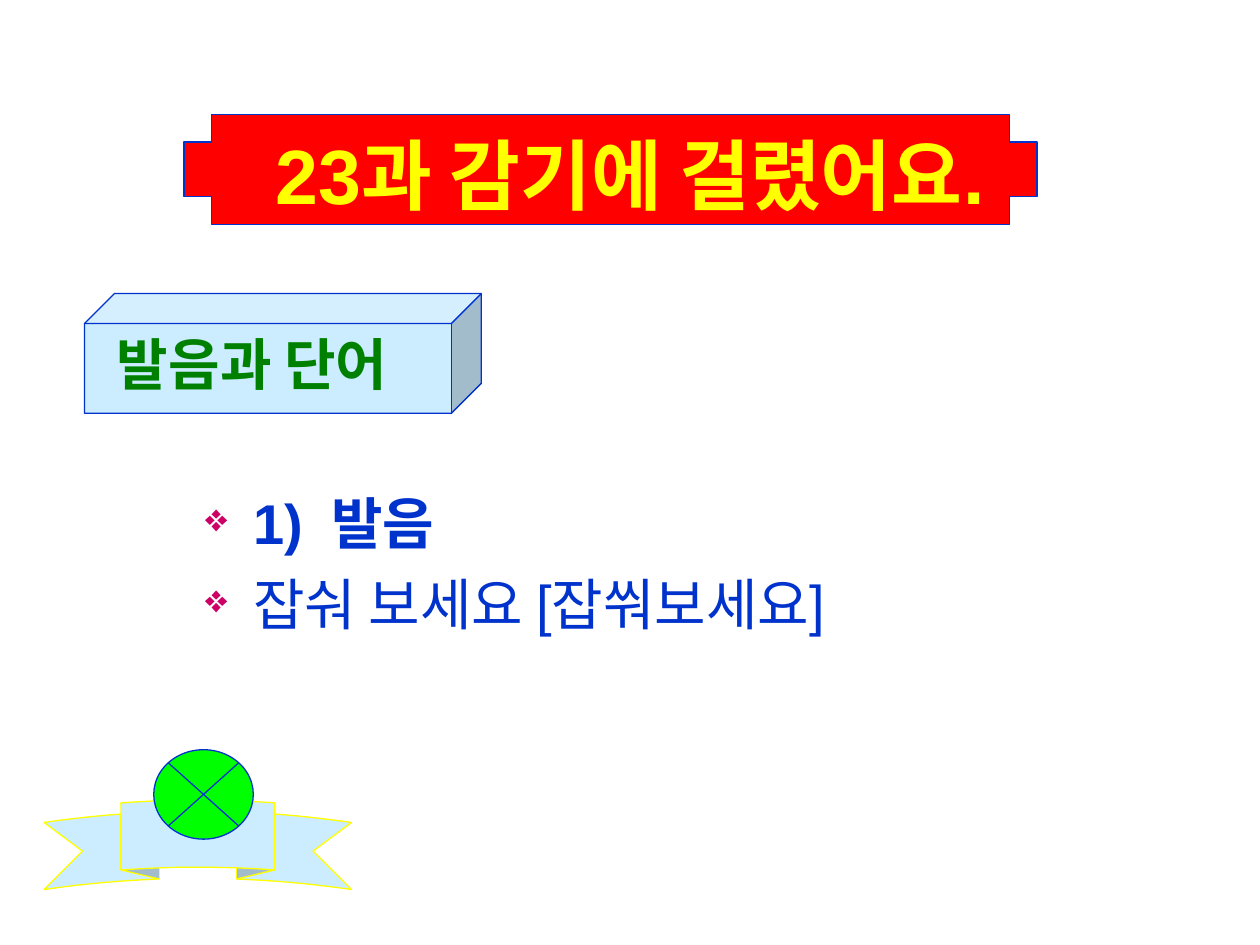
from lxml.etree import SubElement
from pptx import Presentation
from pptx.dml.color import RGBColor
from pptx.enum.shapes import MSO_SHAPE
from pptx.enum.text import MSO_ANCHOR, PP_ALIGN
from pptx.oxml.ns import qn
from pptx.util import Inches, Pt

RED = RGBColor(0xFF, 0x00, 0x00)
YELLOW = RGBColor(0xFF, 0xFF, 0x00)
BLUE = RGBColor(0x00, 0x33, 0xCC)
GREEN = RGBColor(0x00, 0x80, 0x00)
LIME = RGBColor(0x00, 0xFF, 0x00)
SKY = RGBColor(0xCC, 0xEC, 0xFF)
ROSE = RGBColor(0xCC, 0x00, 0x66)

TITLE = "23과 감기에 걸렸어요."
HEAD = "발음과 단어"
ITEMS = [("1)\t발음", True), ("잡숴 보세요 [잡쒀보세요]", False)]
SHAPES = [
    (MSO_SHAPE.CROSS, (1.46, 0.91, 6.77, 0.87), RED, BLUE),
    (MSO_SHAPE.CUBE, (0.67, 2.33, 3.15, 0.95), SKY, BLUE),
    (MSO_SHAPE.CURVED_UP_RIBBON, (0.35, 6.35, 2.44, 0.71), SKY, YELLOW),
    (MSO_SHAPE.FLOWCHART_SUMMING_JUNCTION, (1.22, 5.95, 0.79, 0.71), LIME, BLUE),
]


def place(box):
    """Turn a box in inches into slide lengths."""
    return [Inches(v) for v in box]


def bullet(para):
    """Give a paragraph a hanging diamond bullet and a tab stop."""
    props = para._p.get_or_add_pPr()
    props.set("marL", str(Inches(0.38)))
    props.set("indent", str(-Inches(0.38)))
    tint = SubElement(props, qn("a:buClr"))
    SubElement(tint, qn("a:srgbClr"), val=str(ROSE))
    SubElement(props, qn("a:buSzPct"), val="70000")
    SubElement(props, qn("a:buChar"), char="❖")
    tabs = SubElement(props, qn("a:tabLst"))
    SubElement(tabs, qn("a:tab"), pos=str(Inches(1)), algn="l")


def write(frame, items, size=32, face="Arial", color=BLUE, align=PP_ALIGN.LEFT,
          anchor=MSO_ANCHOR.TOP, marks=False, gap=8):
    """Fill a text frame with pairs of text and boldness."""
    frame.word_wrap = True
    frame.vertical_anchor = anchor
    for n, (text, bold) in enumerate(items):
        para = frame.add_paragraph() if n else frame.paragraphs[0]
        if marks:
            bullet(para)
        para.alignment = align
        para.space_before = Pt(gap if n else 0)
        run = para.add_run()
        run.text = text
        font = run.font
        font.size, font.name, font.bold = Pt(size), face, bold
        font.color.rgb = color


def main():
    """Build the lesson slide."""
    deck = Presentation()
    deck.slide_width, deck.slide_height = Inches(10), Inches(7.5)
    slide = deck.slides.add_slide(deck.slide_layouts[5])
    tree = slide.shapes
    title = tree.title
    for kind, box, fill, edge in SHAPES:
        shape = tree.add_shape(kind, *place(box))
        shape.shadow.inherit = False
        shape.fill.solid()
        shape.fill.fore_color.rgb = fill
        shape.line.color.rgb = edge
        shape.line.width = Pt(0.75)
        if kind == MSO_SHAPE.CROSS:
            shape._element.addnext(title._element)
    title.left, title.top, title.width, title.height = place((0.33, 0.75, 9.34, 1.25))
    write(title.text_frame, [(TITLE, True)], size=44, color=YELLOW,
          align=PP_ALIGN.CENTER, anchor=MSO_ANCHOR.MIDDLE)
    body = tree.add_textbox(*place((1.53, 3.83, 6.32, 2.29)))
    write(body.text_frame, ITEMS, marks=True)
    head = tree.add_textbox(*place((0.83, 2.57, 3.31, 0.64)))
    write(head.text_frame, [(HEAD, True)], face="Noto Sans CJK KR", color=GREEN)
    deck.save("out.pptx")


if __name__ == "__main__":
    main()
